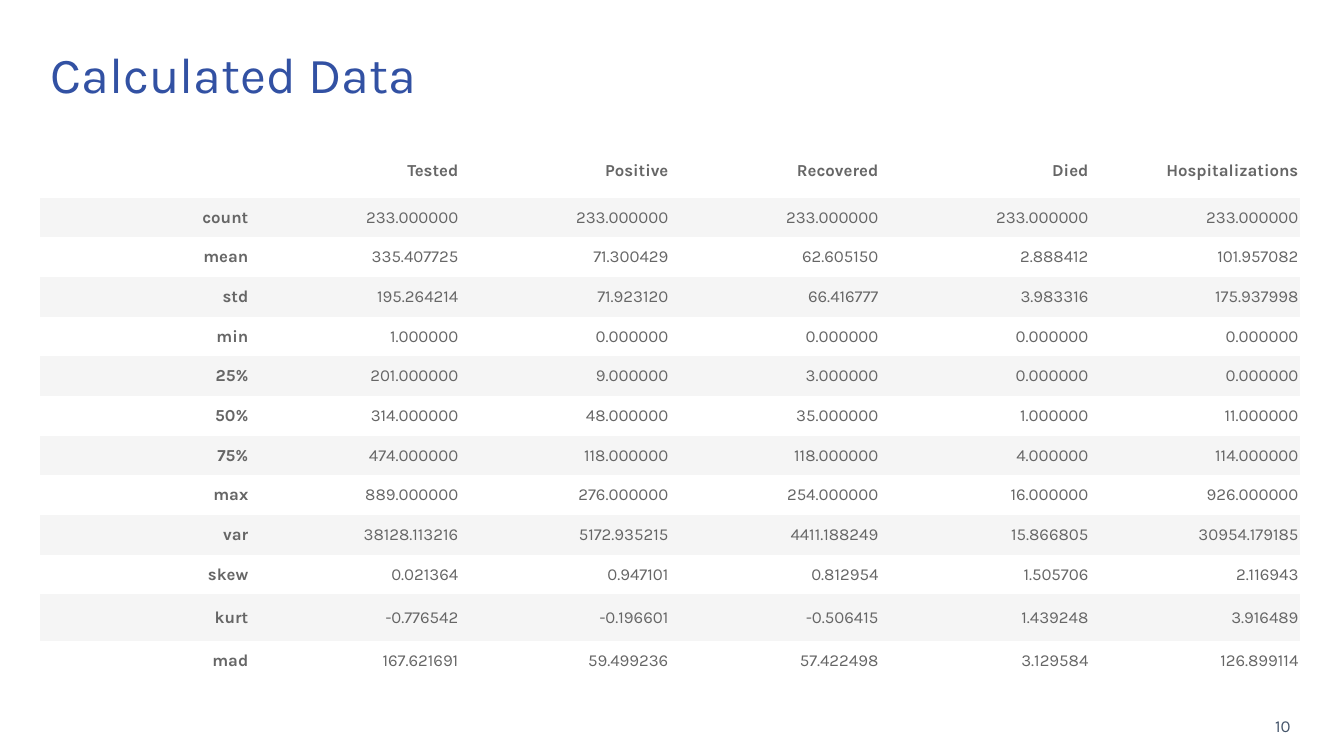
from pptx import Presentation
from pptx.dml.color import RGBColor
from pptx.enum.text import MSO_ANCHOR, MSO_AUTO_SIZE, PP_ALIGN
from pptx.oxml.ns import qn
from pptx.util import Inches, Pt

COLORS = {
    "title": "3251A3",
    "number": "44546A",
    "text": "666666",
    "plain": "FFFFFF",
    "band": "F5F5F5",
}
NO_GRID_STYLE = "{2D5ABB26-0587-4C30-8999-92F81FD0307C}"

STATISTICS = [
    ("", "Tested", "Positive", "Recovered", "Died", "Hospitalizations"),
    ("count", "233.000000", "233.000000", "233.000000", "233.000000", "233.000000"),
    ("mean", "335.407725", "71.300429", "62.605150", "2.888412", "101.957082"),
    ("std", "195.264214", "71.923120", "66.416777", "3.983316", "175.937998"),
    ("min", "1.000000", "0.000000", "0.000000", "0.000000", "0.000000"),
    ("25%", "201.000000", "9.000000", "3.000000", "0.000000", "0.000000"),
    ("50%", "314.000000", "48.000000", "35.000000", "1.000000", "11.000000"),
    ("75%", "474.000000", "118.000000", "118.000000", "4.000000", "114.000000"),
    ("max", "889.000000", "276.000000", "254.000000", "16.000000", "926.000000"),
    ("var", "38128.113216", "5172.935215", "4411.188249", "15.866805", "30954.179185"),
    ("skew", "0.021364", "0.947101", "0.812954", "1.505706", "2.116943"),
    ("kurt", "-0.776542", "-0.196601", "-0.506415", "1.439248", "3.916489"),
    ("mad", "167.621691", "59.499236", "57.422498", "3.129584", "126.899114"),
]
ROW_HEIGHT = 0.394
TALL_ROWS = {"": 0.52, "kurt": 0.46}


def style_paragraph(paragraph, size, color, align, bold=False):
    paragraph.alignment = align
    paragraph.font.name = "Karla"
    paragraph.font.size = Pt(size)
    paragraph.font.bold = bold
    paragraph.font.color.rgb = RGBColor.from_string(COLORS[color])


prs = Presentation()
prs.slide_width, prs.slide_height = Inches(13.33), Inches(7.5)
slide = prs.slides.add_slide(prs.slide_layouts[5])

# Title
title = slide.shapes.title
title.left, title.top = Inches(0.4), Inches(0.4)
title.width, title.height = Inches(12.5), Inches(0.73)
title.text_frame.text = "Calculated Data"
title.text_frame.auto_size = MSO_AUTO_SIZE.NONE
title.text_frame.vertical_anchor = MSO_ANCHOR.MIDDLE
heading = title.text_frame.paragraphs[0]
heading.line_spacing = 0.9
style_paragraph(heading, 36, "title", PP_ALIGN.LEFT)

# Statistics table
table = slide.shapes.add_table(
    len(STATISTICS), len(STATISTICS[0]),
    Inches(0.4), Inches(1.44), Inches(12.5), Inches(5.31),
).table
table._tbl.tblPr.find(qn("a:tableStyleId")).text = NO_GRID_STYLE
table.horz_banding = False

for r, values in enumerate(STATISTICS):
    table.rows[r].height = Inches(TALL_ROWS.get(values[0], ROW_HEIGHT))
    for c, value in enumerate(values):
        cell = table.cell(r, c)
        cell.text = value
        cell.vertical_anchor = MSO_ANCHOR.MIDDLE
        cell.margin_left = cell.margin_right = Inches(0.02)
        cell.margin_top = cell.margin_bottom = Inches(0.01)
        cell.fill.solid()
        cell.fill.fore_color.rgb = RGBColor.from_string(COLORS["band" if r % 2 else "plain"])
        style_paragraph(cell.text_frame.paragraphs[0], 12, "text", PP_ALIGN.RIGHT,
                        bold=r == 0 or c == 0)

# Page number
page_number = slide.shapes.add_textbox(Inches(9.9), Inches(6.95), Inches(3), Inches(0.4)).text_frame
page_number.word_wrap = True
page_number.vertical_anchor = MSO_ANCHOR.BOTTOM
page_number.text = "10"
style_paragraph(page_number.paragraphs[0], 12, "number", PP_ALIGN.RIGHT)

prs.save("out.pptx")
